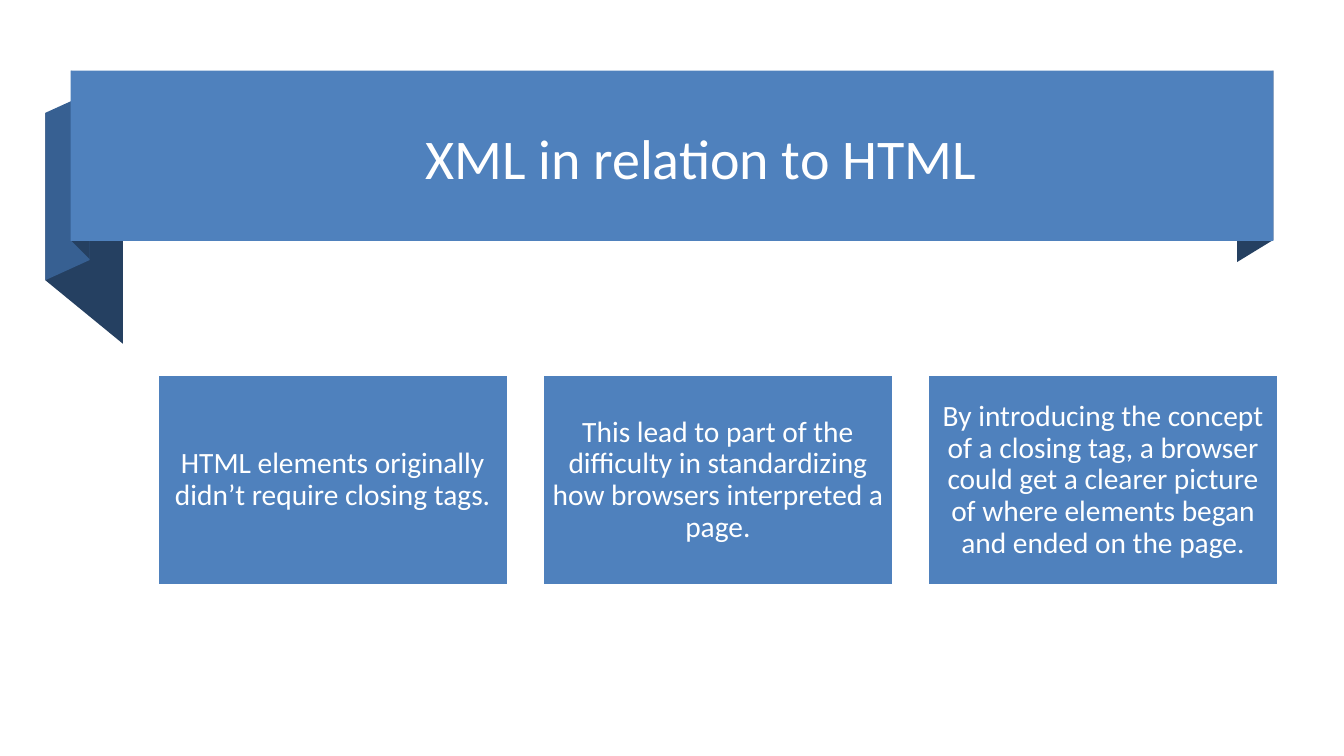
from typing import NamedTuple

from pptx import Presentation
from pptx.dml.color import RGBColor
from pptx.enum.shapes import MSO_SHAPE
from pptx.enum.text import MSO_ANCHOR, PP_ALIGN
from pptx.util import Pt

RECTANGLE = MSO_SHAPE.RECTANGLE
MIDDLE = MSO_ANCHOR.MIDDLE
CENTER = PP_ALIGN.CENTER

EMU_PER_PX = 9144
SLIDE_WIDTH, SLIDE_HEIGHT = 1333, 750
FONT = "Calibri"
WHITE, BLUE, MID_BLUE, NAVY = "FFFFFF", "4F81BD", "376092", "254061"

CARD_LEFT, CARD_TOP = 156, 372
CARD_WIDTH, CARD_HEIGHT = 348, 209
CARD_PITCH = 382
CARD_INSET = 9


class Box(NamedTuple):
    left: int
    top: int
    width: int
    height: int


class Fold(NamedTuple):
    corners: list[tuple[int, int]]
    color: str


BANNER = Box(70, 70, 1193, 169)
TITLE = Box(148, 83, 1094, 145)

FOLDS = [
    Fold([(1263, 238), (1227, 260), (1227, 91), (1263, 70)], NAVY),
    Fold([(122, 341), (45, 278), (45, 112), (122, 175)], NAVY),
    Fold([(89, 258), (45, 278), (45, 112), (89, 92)], MID_BLUE),
    Fold([(89, 257), (71, 239), (71, 70), (89, 89)], NAVY),
]

STATEMENTS = [
    "HTML elements originally didn’t require closing tags.",
    "This lead to part of the difficulty in standardizing how browsers interpreted a page.",
    "By introducing the concept of a closing tag, a browser could get a clearer "
    "picture of where elements began and ended on the page.",
]


def px(length: int) -> int:
    return length * EMU_PER_PX


def rgb(color: str) -> RGBColor:
    return RGBColor.from_string(color)


def paint(shape, color: str) -> None:
    shape.shadow.inherit = False
    shape.fill.solid()
    shape.fill.fore_color.rgb = rgb(color)
    shape.line.fill.background()


def write(shape, text: str, size: int):
    frame = shape.text_frame
    frame.word_wrap = True
    frame.vertical_anchor = MIDDLE
    paragraph = frame.paragraphs[0]
    paragraph.alignment = CENTER
    run = paragraph.add_run()
    run.text = text
    run.font.name = FONT
    run.font.size = Pt(size)
    run.font.color.rgb = rgb(WHITE)
    return paragraph


def add_fold(slide, fold: Fold) -> None:
    start, *others = fold.corners
    outline = slide.shapes.build_freeform(*start, scale=EMU_PER_PX)
    outline.add_line_segments(others, close=True)
    paint(outline.convert_to_shape(), fold.color)


def add_block(slide, box: Box):
    block = slide.shapes.add_shape(RECTANGLE, *map(px, box))
    paint(block, BLUE)
    return block


def place_title(slide, text: str) -> None:
    title = slide.shapes.title
    title.left, title.top, title.width, title.height = map(px, TITLE)
    write(title, text, 40)
    slide.shapes._spTree.append(title._element)


def add_card(slide, column: int, statement: str) -> None:
    left = CARD_LEFT + column * CARD_PITCH
    card = add_block(slide, Box(left, CARD_TOP, CARD_WIDTH, CARD_HEIGHT))
    card.line.color.rgb = rgb(WHITE)
    card.line.width = Pt(2)
    frame = card.text_frame
    frame.margin_left = frame.margin_right = px(CARD_INSET)
    frame.margin_top = frame.margin_bottom = px(CARD_INSET)
    write(card, statement, 21).line_spacing = 0.9


def main() -> None:
    deck = Presentation()
    deck.slide_width, deck.slide_height = px(SLIDE_WIDTH), px(SLIDE_HEIGHT)
    title_only = deck.slide_layouts[5]
    slide = deck.slides.add_slide(title_only)
    for fold in FOLDS:
        add_fold(slide, fold)
    add_block(slide, BANNER)
    place_title(slide, "XML in relation to HTML")
    for column, statement in enumerate(STATEMENTS):
        add_card(slide, column, statement)
    deck.save("out.pptx")


if __name__ == "__main__":
    main()
